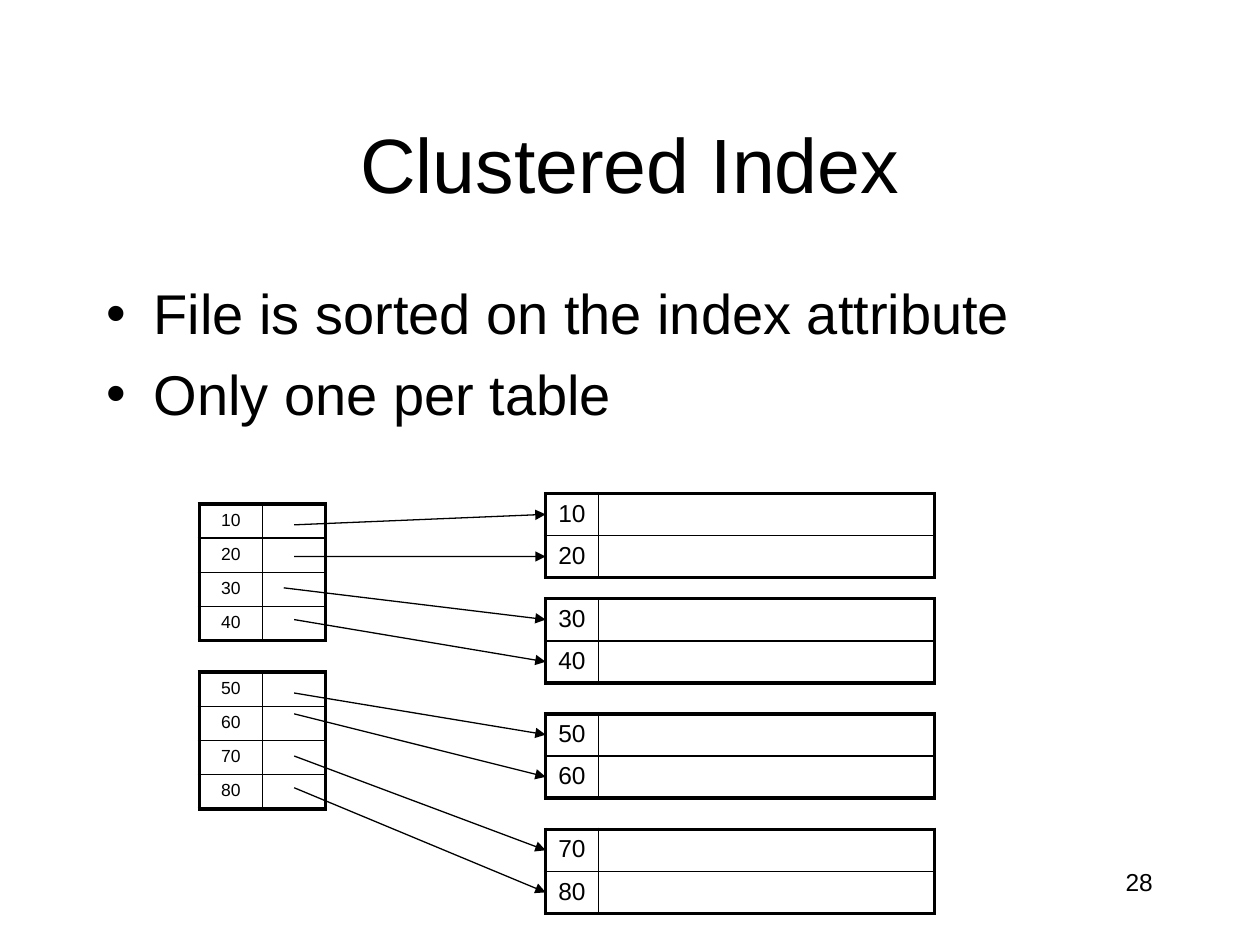
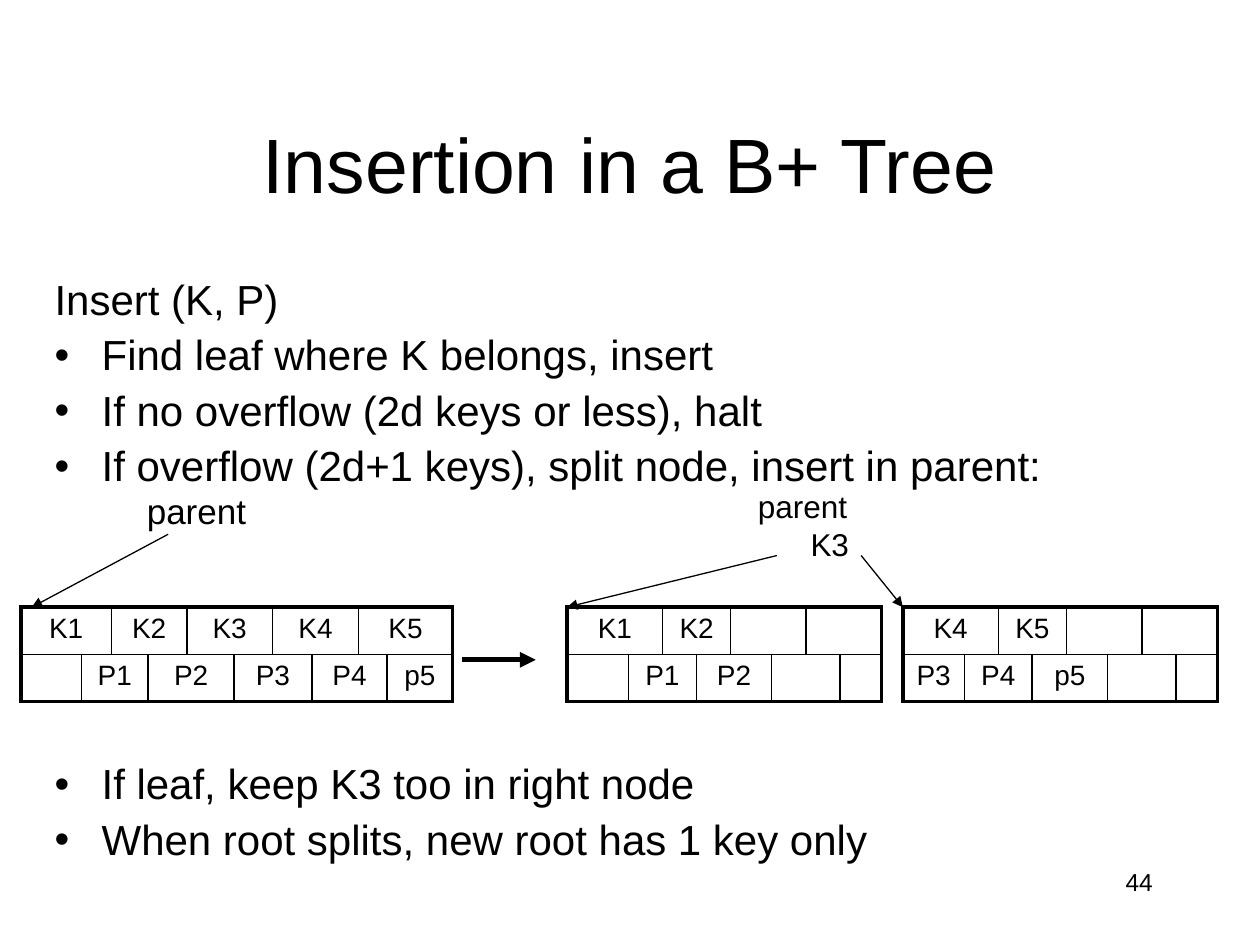
from itertools import accumulate

from lxml import etree
from pptx import Presentation
from pptx.dml.color import RGBColor
from pptx.enum.shapes import MSO_CONNECTOR
from pptx.enum.text import MSO_ANCHOR, PP_ALIGN
from pptx.oxml.ns import qn
from pptx.util import Cm, Pt

COLORS = {"ink": "000000", "paper": "FFFFFF"}
FONT = "Arial"
NO_STYLE = "{2D5ABB26-0587-4C30-8999-92F81FD0307C}"
OUTER, INNER = 2.25, 1


def write(p, text, size=18, align=PP_ALIGN.LEFT, before=0, spacing=None,
          indent=0, hanging=0, bullet=None):
    """Fill one paragraph; indents are in cm, the other measures in points."""
    pPr = p._p.get_or_add_pPr()
    if indent:
        pPr.set("marL", str(Cm(indent)))
        pPr.set("indent", str(-Cm(hanging)))
    if bullet:
        etree.SubElement(pPr, qn("a:buFont"), typeface=FONT)
        etree.SubElement(pPr, qn("a:buChar"), char=bullet)
    p.alignment = align
    p.space_before = Pt(before)
    if spacing:
        p.line_spacing = spacing
    if text:
        r = p.add_run()
        r.text = text
        r.font.name, r.font.size = FONT, Pt(size)
        r.font.color.rgb = RGBColor.from_string(COLORS["ink"])
    else:
        etree.SubElement(p._p, qn("a:endParaRPr"), sz=str(size * 100))


class Deck:
    def __init__(self):
        self.prs = Presentation()
        self.prs.slide_width, self.prs.slide_height = Cm(25.4), Cm(19.05)
        self.s = None

    def slide(self, title, number):
        """Start a slide with its title and page number."""
        self.s = self.prs.slides.add_slide(self.prs.slide_layouts[6])
        fill = self.s.background.fill
        fill.solid()
        fill.fore_color.rgb = RGBColor.from_string(COLORS["paper"])
        self.text([title], 1.9, 1.7, 21.6, 3.18, anchor=MSO_ANCHOR.MIDDLE,
                  size=44, align=PP_ALIGN.CENTER)
        self.text([str(number)], 18.2, 17.35, 5.29, 1.27, size=14,
                  align=PP_ALIGN.RIGHT)

    def text(self, lines, x, y, w, h, anchor=MSO_ANCHOR.TOP, before=0, **fmt):
        """Add a text box; a line is a string or (string, its own format)."""
        tf = self.s.shapes.add_textbox(Cm(x), Cm(y), Cm(w), Cm(h)).text_frame
        tf.word_wrap = True
        tf.vertical_anchor = anchor
        for i, line in enumerate(lines):
            line, own = (line, {}) if isinstance(line, str) else line
            p = tf.add_paragraph() if i else tf.paragraphs[0]
            write(p, line, before=before if i else 0, **{**fmt, **own})

    def bullets(self, lines, x, y, w, h, **fmt):
        fmt = {"bullet": "•", "indent": 0.95, "hanging": 0.95, **fmt}
        self.text(lines, x, y, w, h, **fmt)

    def grid(self, x, y, rows, height, **fmt):
        """Add a table from rows of (text, width); rows may break at different places."""
        breaks = [[0] + [round(e, 2) for e in accumulate(w for _, w in row)]
                  for row in rows]
        edges = sorted({e for row in breaks for e in row})
        frame = self.s.shapes.add_table(len(rows), len(edges) - 1, Cm(x), Cm(y),
                                        Cm(edges[-1]), Cm(height * len(rows)))
        table = frame.table
        table.first_row = table.horz_banding = False
        next(frame._element.iter(qn("a:tableStyleId"))).text = NO_STYLE
        for column, left, right in zip(table.columns, edges, edges[1:]):
            column.width = Cm(right - left)
        for i, row in enumerate(rows):
            table.rows[i].height = Cm(height)
            for (text, _), left, right in zip(row, breaks[i], breaks[i][1:]):
                first, last = edges.index(left), edges.index(right) - 1
                cell = table.cell(i, first)
                if last > first:
                    cell.merge(table.cell(i, last))
                for j in range(first, last + 1):
                    part = table.cell(i, j)
                    write(part.text_frame.paragraphs[0],
                          text if j == first else "", **fmt)
                    borders = {}
                    if j == first:
                        borders["L"] = INNER if first else OUTER
                    if j in (first, last):
                        borders["R"] = OUTER if right == edges[-1] else INNER
                    borders["T"] = INNER if i else OUTER
                    borders["B"] = OUTER if i == len(rows) - 1 else INNER
                    self.border(part, borders)

    def border(self, cell, widths):
        tcPr = cell._tc.get_or_add_tcPr()
        for side, width in widths.items():
            ln = etree.SubElement(tcPr, qn(f"a:ln{side}"), w=str(Pt(width)))
            fill = etree.SubElement(ln, qn("a:solidFill"))
            etree.SubElement(fill, qn("a:srgbClr"), val=COLORS["ink"])
        cell.fill.background()

    def arrow(self, x1, y1, x2, y2, width=0.75):
        c = self.s.shapes.add_connector(MSO_CONNECTOR.STRAIGHT,
                                        Cm(x1), Cm(y1), Cm(x2), Cm(y2))
        c.line.width = Pt(width)
        c.line.color.rgb = RGBColor.from_string(COLORS["ink"])
        etree.SubElement(c.line._get_or_add_ln(), qn("a:tailEnd"), type="triangle")
        etree.SubElement(c._element.spPr, qn("a:effectLst"))


def clustered_index(deck):
    deck.slide("Clustered Index", 28)
    deck.bullets(["File is sorted on the index attribute", "Only one per table"],
                 1.9, 5.5, 22, 11.43, size=32, before=7.4)

    for y, first_key in ((10.16, 10), (13.55, 50)):
        rows = [[(str(first_key + 10 * i), 1.27), ("", 1.27)] for i in range(4)]
        deck.grid(4.02, y, rows, 0.69, size=10, align=PP_ALIGN.CENTER)

    record_x = 11
    record_tops = (9.95, 12.07, 14.39, 16.72)
    for i, y in enumerate(record_tops):
        rows = [[(str(20 * i + key), 1.07), ("", 6.77)] for key in (10, 20)]
        deck.grid(record_x, y, rows, 0.81, size=14)

    starts = [(5.93, 10.58), (5.93, 11.22), (5.72, 11.85), (5.93, 12.49),
              (5.93, 13.97), (5.93, 14.39), (5.93, 15.24), (5.93, 15.88)]
    ends = [y + offset for y in record_tops for offset in (0.42, 1.27)]
    for (x, y), end in zip(starts, ends):
        deck.arrow(x, y, record_x, end)


def insertion(deck):
    deck.slide("Insertion in a B+ Tree", 44)
    body = {"size": 24, "spacing": 0.9, "before": 5.8}
    deck.bullets([("Insert (K, P)", {"bullet": None}),
                  "Find leaf where K belongs, insert",
                  "If no overflow (2d keys or less), halt",
                  "If overflow (2d+1 keys), split node, insert in parent:"],
                 0.85, 5.5, 23.28, 4.5, **body)
    deck.bullets(["If leaf, keep K3 too in right node",
                  "When root splits, new root has 1 key only"],
                 0.85, 15.27, 23.28, 2.3, **body)

    node_y = 12.24
    full = ((1.8, 1.52, 1.73, 1.73, 1.9), (1.22, 1.32, 1.73, 1.57, 1.52, 1.32))
    half = ((1.93, 1.37, 1.52, 1.53), (1.24, 1.37, 1.52, 1.38, 0.84))
    nodes = [
        (0.42, full, ("K1", "K2", "K3", "K4", "K5"),
         ("", "P1", "P2", "P3", "P4", "p5")),
        (11.43, half, ("K1", "K2", "", ""), ("", "P1", "P2", "", "")),
        (18.2, half, ("K4", "K5", "", ""), ("P3", "P4", "p5", "", "")),
    ]
    for x, widths, *labels in nodes:
        rows = [list(zip(texts, sizes)) for texts, sizes in zip(labels, widths)]
        deck.grid(x, node_y, rows, 0.95, size=16, align=PP_ALIGN.CENTER)

    deck.text(["parent"], 2.71, 9.75, 2.8, 1.1, size=20)
    deck.text(["parent", ("K3", {"indent": 1.06})], 15.03, 9.7, 3.05, 1.78, size=18)
    deck.arrow(3.39, 10.77, 0.64, node_y)
    deck.arrow(15.66, 11.2, 11.43, node_y)
    deck.arrow(17.36, 11.2, 18.2, node_y)
    deck.arrow(9.31, 13.3, 10.8, 13.3, width=3)


def main():
    deck = Deck()
    clustered_index(deck)
    insertion(deck)
    deck.prs.save("out.pptx")


if __name__ == "__main__":
    main()
